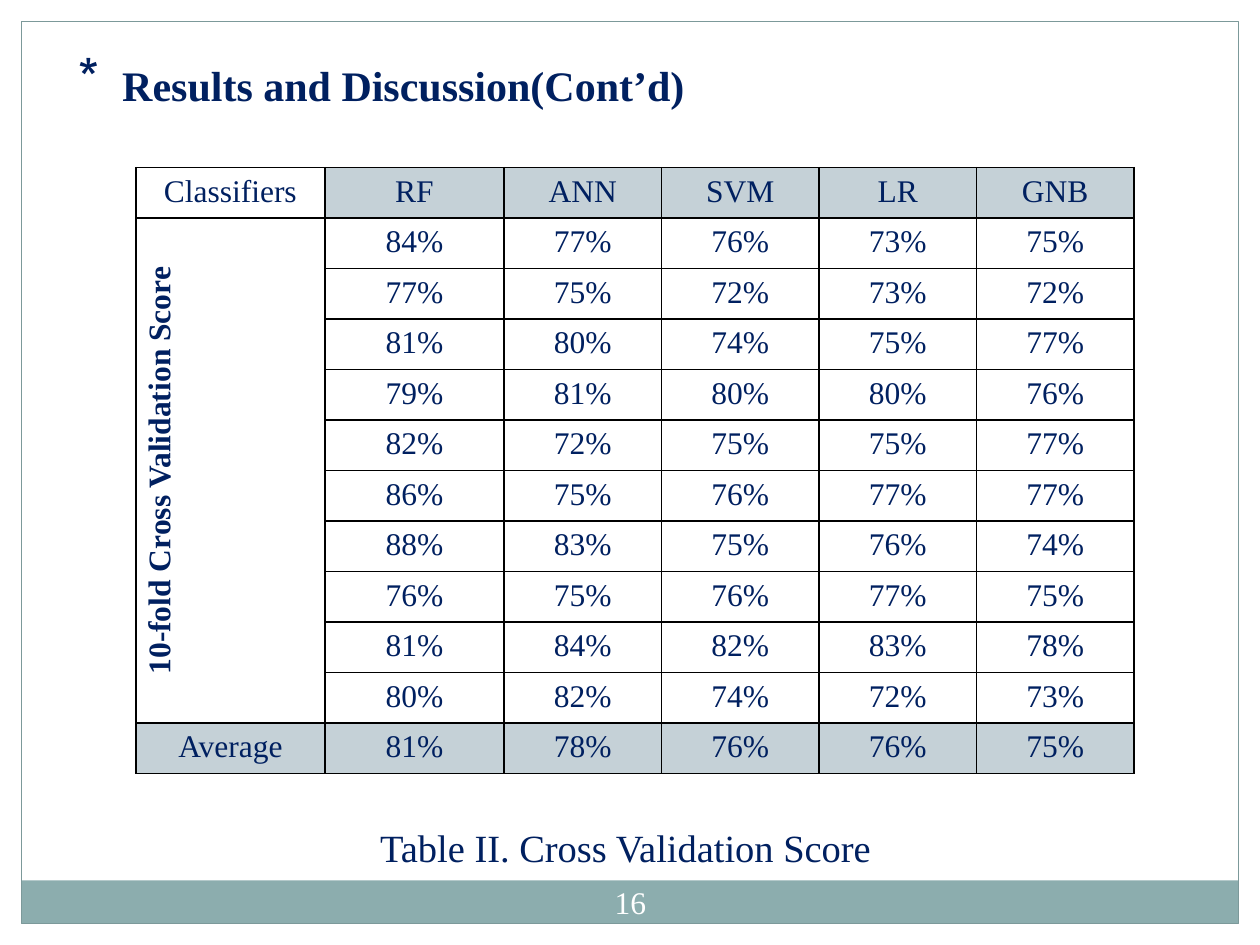
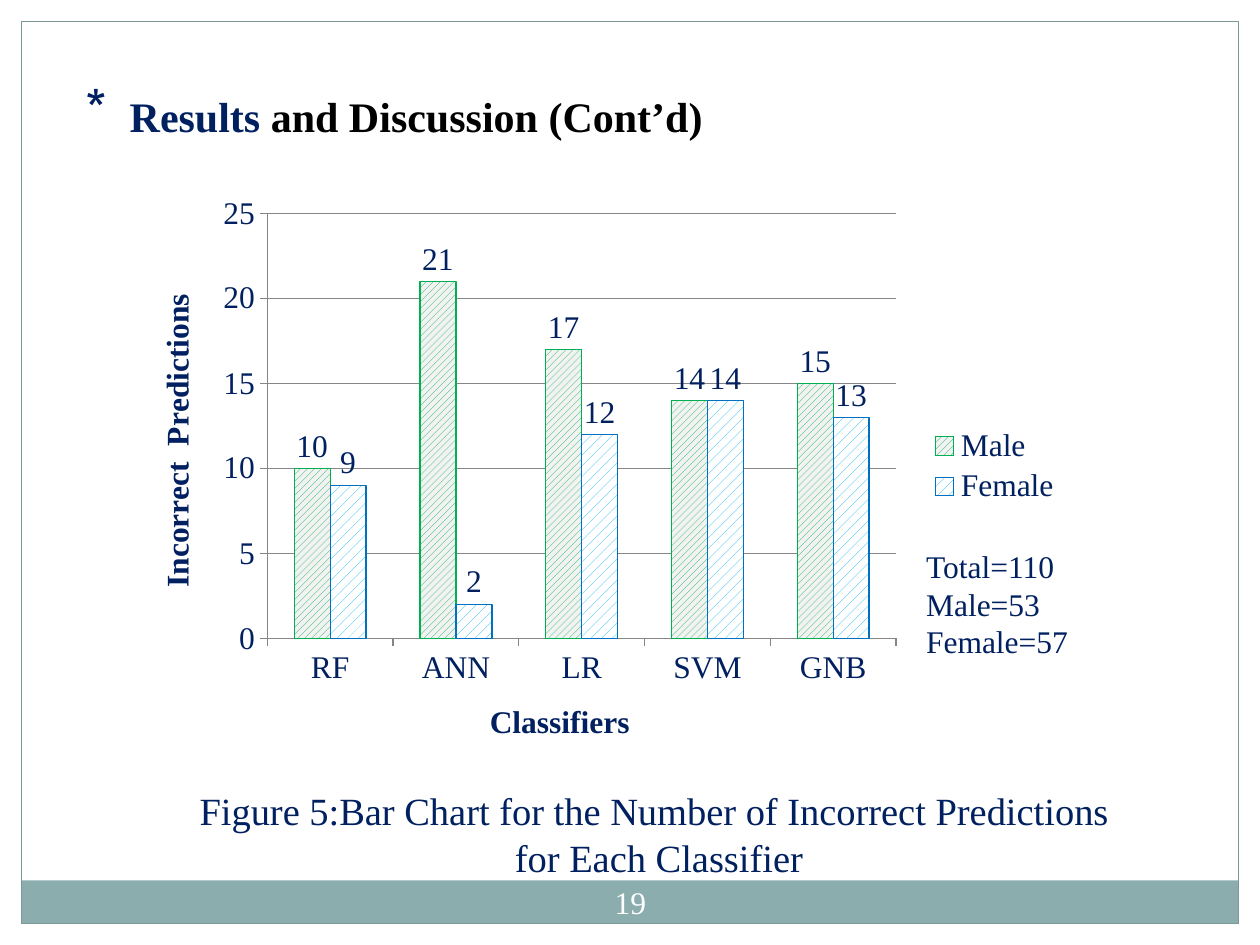
"""Builds two results slides: a cross validation table and a chart of wrong predictions."""
import lxml.etree
import pptx
import pptx.chart.data
import pptx.dml.color
import pptx.enum.chart
import pptx.enum.dml
import pptx.enum.shapes
import pptx.enum.text
import pptx.oxml
import pptx.oxml.ns
import pptx.util

Cm, Pt = pptx.util.Cm, pptx.util.Pt
qn = pptx.oxml.ns.qn
ALIGN = pptx.enum.text.PP_ALIGN
ANCHOR = pptx.enum.text.MSO_ANCHOR
PATTERN = pptx.enum.dml.MSO_PATTERN

FONT = "Times New Roman"
NAVY, BLACK, WHITE = "002060", "000000", "FFFFFF"
BAND, FRAME, HEADER, GRID = "8CADAE", "7C999A", "C5D1D7", "868686"
SLIDE_W, SLIDE_H, EDGE = 25.4, 19.05, 0.43

TITLE_FORMAT = {"size": Pt(24), "bold": True, "name": FONT}
CAPTION_FORMAT = {"size": Pt(22), "bold": False, "name": FONT}
BODY_FORMAT = {"size": Pt(18), "bold": False, "name": FONT}
BOLD_FORMAT = {**BODY_FORMAT, "bold": True}

CLASSIFIERS = ["RF", "ANN", "SVM", "LR", "GNB"]
FOLD_SCORES = [
    [84, 77, 76, 73, 75],
    [77, 75, 72, 73, 72],
    [81, 80, 74, 75, 77],
    [79, 81, 80, 80, 76],
    [82, 72, 75, 75, 77],
    [86, 75, 76, 77, 77],
    [88, 83, 75, 76, 74],
    [76, 75, 76, 77, 75],
    [81, 84, 82, 83, 78],
    [80, 82, 74, 72, 73],
]
AVERAGES = [81, 78, 76, 76, 75]

CHART_CLASSIFIERS = ["RF", "ANN", "LR", "SVM", "GNB"]
# name, values, pattern, pattern colour, ground colour, outline colour
MISTAKES = [
    ("Male", [10, 21, 17, 14, 15], PATTERN.WIDE_UPWARD_DIAGONAL, "00B050", "F2F2F2", "00B050"),
    ("Female", [9, 2, 12, 14, 13], PATTERN.PERCENT_20, "00B0F0", WHITE, "0070C0"),
]


def rgb(value):
    """Turn a hex string into a colour."""
    return pptx.dml.color.RGBColor.from_string(value)


def lengths(box):
    """Turn a box in centimetres into lengths."""
    return [Cm(value) for value in box]


def set_values(target, values):
    """Set each attribute named in a dict of format values."""
    for name, value in values.items():
        setattr(target, name, value)


def set_font(font, values, colour=NAVY):
    """Give a font its format values and its colour."""
    set_values(font, values)
    font.color.rgb = rgb(colour)


def write(paragraph, runs, values, align=ALIGN.CENTER):
    """Write (text, colour) runs into a paragraph."""
    paragraph.alignment = align
    for text, colour in runs:
        run = paragraph.add_run()
        run.text = text
        set_font(run.font, values, colour)


def add_text(slide, box, lines, values, colour=NAVY, align=ALIGN.CENTER, **frame_values):
    """Add a text box with one paragraph for each line."""
    frame = slide.shapes.add_textbox(*lengths(box)).text_frame
    set_values(frame, {"word_wrap": True, **frame_values})
    for index, line in enumerate(lines):
        paragraph = frame.add_paragraph() if index else frame.paragraphs[0]
        write(paragraph, [(line, colour)], values, align)


def add_rectangle(slide, box, fill=None, line=None):
    """Add a plain rectangle with an optional fill and outline."""
    shape = slide.shapes.add_shape(pptx.enum.shapes.MSO_SHAPE.RECTANGLE, *lengths(box))
    shape.shadow.inherit = False
    if fill:
        shape.fill.solid()
        shape.fill.fore_color.rgb = rgb(fill)
    else:
        shape.fill.background()
    if line:
        shape.line.color.rgb = rgb(line)
        shape.line.width = Pt(0.75)
    else:
        shape.line.fill.background()
    return shape


def decorate_layout(layout, slide):
    """Draw the shared edges, footer band and frame, and move them to the layout."""
    inner_w, inner_h = SLIDE_W - 2 * EDGE, SLIDE_H - 2 * EDGE
    parts = [
        add_rectangle(slide, (0, 0, SLIDE_W, EDGE), WHITE),
        add_rectangle(slide, (SLIDE_W - EDGE, 0, EDGE, SLIDE_H), WHITE),
        add_rectangle(slide, (0, 0, EDGE, SLIDE_H), WHITE),
        add_rectangle(slide, (EDGE, 17.75, inner_w, 0.87), BAND),
        add_rectangle(slide, (EDGE, EDGE, inner_w, inner_h), line=FRAME),
    ]
    for position, part in enumerate(parts, start=2):
        layout.shapes.element.insert(position, part.element)


def place_title(slide, box, runs):
    """Move the title placeholder and write the starred title."""
    title = slide.shapes.title
    set_values(title, dict(zip(("left", "top", "width", "height"), lengths(box))))
    frame = title.text_frame
    set_values(frame, {
        "vertical_anchor": ANCHOR.TOP,
        "word_wrap": True,
        "auto_size": pptx.enum.text.MSO_AUTO_SIZE.NONE,
    })
    write(frame.paragraphs[0], runs, TITLE_FORMAT, ALIGN.LEFT)
    properties = frame.paragraphs[0]._p.get_or_add_pPr()
    properties.set("marL", str(Cm(0.89)))
    properties.set("indent", str(-Cm(0.89)))
    colour = lxml.etree.SubElement(properties, qn("a:buClr"))
    lxml.etree.SubElement(colour, qn("a:srgbClr"), val=NAVY)
    lxml.etree.SubElement(properties, qn("a:buSzPct"), val="128000")
    lxml.etree.SubElement(properties, qn("a:buChar"), char="*")


def add_page_number(slide, number):
    """Write the page number on the footer band."""
    margins = {f"margin_{side}": Cm(0.13) for side in ("left", "top", "right", "bottom")}
    add_text(slide, (11.86, 17.58, 1.7, 1.22), [str(number)], BODY_FORMAT, WHITE,
             vertical_anchor=ANCHOR.MIDDLE, **margins)


def add_borders(cell):
    """Draw a thin black line on all four sides of a cell."""
    properties = cell._tc.get_or_add_tcPr()
    for position, side in enumerate(("lnL", "lnR", "lnT", "lnB")):
        line = lxml.etree.Element(qn(f"a:{side}"), w=str(Pt(1)))
        fill = lxml.etree.SubElement(line, qn("a:solidFill"))
        lxml.etree.SubElement(fill, qn("a:srgbClr"), val=BLACK)
        properties.insert(position, line)


def add_score_table(slide, box):
    """Add the table of fold scores with a header row and an average row."""
    rows = [["Classifiers", *CLASSIFIERS]]
    rows += [["", *(f"{score}%" for score in scores)] for scores in FOLD_SCORES]
    rows += [["Average", *(f"{score}%" for score in AVERAGES)]]
    rows[1][0] = "10-fold Cross Validation Score"
    last = len(rows) - 1

    table = slide.shapes.add_table(len(rows), len(rows[0]), *lengths(box)).table
    set_values(table, {"first_row": False, "horz_banding": False})
    widths = [3.81, 3.61]
    widths += [(box[2] - sum(widths)) / 4] * 4
    for column, width in zip(table.columns, widths):
        column.width = Cm(width)
    for row in table.rows:
        row.height = Cm(box[3] / len(rows))

    for r, texts in enumerate(rows):
        for c, text in enumerate(texts):
            cell = table.cell(r, c)
            if r == last or (r == 0 and c > 0):
                cell.fill.solid()
                cell.fill.fore_color.rgb = rgb(HEADER)
            else:
                cell.fill.background()
            add_borders(cell)
            if text:
                values = BOLD_FORMAT if (r, c) == (1, 0) else BODY_FORMAT
                write(cell.text_frame.paragraphs[0], [(text, NAVY)], values)

    side_heading = table.cell(1, 0)
    side_heading.merge(table.cell(last - 1, 0))
    side_heading.vertical_anchor = ANCHOR.MIDDLE
    side_heading._tc.get_or_add_tcPr().set("vert", "vert270")


def set_plot_area(chart, x, y, w, h):
    """Fix the inner plot area as shares of the chart."""
    plot_area = chart._chartSpace.chart.plotArea
    for old in plot_area.findall(qn("c:layout")):
        plot_area.remove(old)
    layout = lxml.etree.Element(qn("c:layout"))
    manual = lxml.etree.SubElement(layout, qn("c:manualLayout"))
    settings = {"layoutTarget": "inner", "xMode": "edge", "yMode": "edge",
                "x": x, "y": y, "w": w, "h": h}
    for name, value in settings.items():
        lxml.etree.SubElement(manual, qn(f"c:{name}"), val=str(value))
    plot_area.insert(0, layout)


def format_axis(axis, title):
    """Give an axis its title, ticks and line."""
    axis.has_title = True
    write(axis.axis_title.text_frame.paragraphs[0], [(title, NAVY)], BOLD_FORMAT)
    axis.major_tick_mark = pptx.enum.chart.XL_TICK_MARK.OUTSIDE
    set_font(axis.tick_labels.font, BODY_FORMAT)
    axis.format.line.color.rgb = rgb(GRID)


def add_mistake_chart(slide, box):
    """Add the column chart of wrong predictions with the totals beside it."""
    data = pptx.chart.data.CategoryChartData()
    data.categories = CHART_CLASSIFIERS
    for name, values, *_ in MISTAKES:
        data.add_series(name, values)
    kind = pptx.enum.chart.XL_CHART_TYPE.COLUMN_CLUSTERED
    chart = slide.shapes.add_chart(kind, *lengths(box), data).chart
    set_values(chart, {"has_title": False, "has_legend": True})
    set_font(chart.font, BODY_FORMAT)
    set_values(chart.legend, {
        "position": pptx.enum.chart.XL_LEGEND_POSITION.RIGHT,
        "include_in_layout": False,
    })
    set_font(chart.legend.font, BODY_FORMAT)

    format_axis(chart.category_axis, "Classifiers")
    chart.category_axis.has_major_gridlines = False
    format_axis(chart.value_axis, "Incorrect  Predictions")
    set_values(chart.value_axis, {
        "minimum_scale": 0, "maximum_scale": 25, "major_unit": 5, "has_major_gridlines": True,
    })
    grid_line = chart.value_axis.major_gridlines.format.line
    grid_line.color.rgb = rgb(GRID)
    grid_line.width = Pt(1)

    plot = chart.plots[0]
    set_values(plot, {"gap_width": 150, "vary_by_categories": False, "has_data_labels": True})
    set_values(plot.data_labels, {
        "show_value": True,
        "position": pptx.enum.chart.XL_LABEL_POSITION.OUTSIDE_END,
    })
    set_font(plot.data_labels.font, BODY_FORMAT)
    for series, (_, _, pattern, ink, ground, outline) in zip(plot.series, MISTAKES):
        fill = series.format.fill
        fill.patterned()
        fill.pattern = pattern
        fill.fore_color.rgb = rgb(ink)
        fill.back_color.rgb = rgb(ground)
        series.format.line.color.rgb = rgb(outline)
        series.format.line.width = Pt(0.75)
    set_plot_area(chart, 0.14, 0.06, 0.67, 0.74)

    left, top = box[:2]
    add_text(slide, (left + 15.68, top + 7.29, 4.01, 3.33),
             ["Total=110", "Male=53", "Female=57"], BODY_FORMAT, align=ALIGN.LEFT)


def main():
    """Build both slides and save them."""
    deck = pptx.Presentation()
    set_values(deck, {"slide_width": Cm(SLIDE_W), "slide_height": Cm(SLIDE_H)})
    layout = deck.slide_layouts[5]

    scores = deck.slides.add_slide(layout)
    decorate_layout(layout, scores)
    place_title(scores, (1.32, 1.07, 18.08, 3.18), [("Results and Discussion(Cont’d)", NAVY)])
    add_score_table(scores, (2.74, 3.38, 20.12, 12.22))
    add_text(scores, (6.86, 16.48, 11.5, 1.17), ["Table II. Cross Validation Score"],
             CAPTION_FORMAT)
    add_page_number(scores, 16)

    mistakes = deck.slides.add_slide(layout)
    place_title(mistakes, (1.47, 1.7, 13.3, 1.27),
                [("Results", NAVY), (" and Discussion (Cont’d)", BLACK)])
    add_mistake_chart(mistakes, (2.74, 3.61, 18.92, 11.58))
    add_text(mistakes, (3.66, 15.75, 19.25, 2),
             ["Figure 5:Bar Chart for the Number of Incorrect Predictions ", "for Each Classifier"],
             CAPTION_FORMAT)
    add_page_number(mistakes, 19)

    deck.save("out.pptx")


main()
